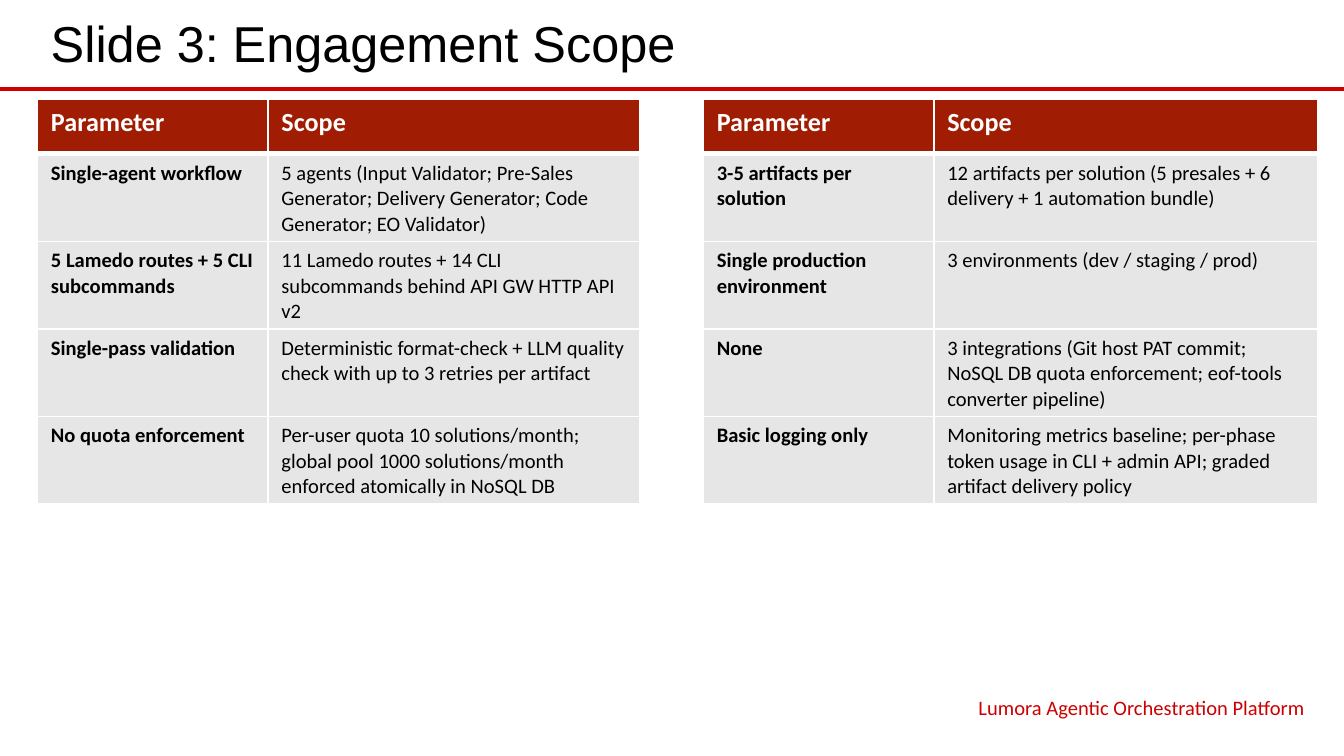
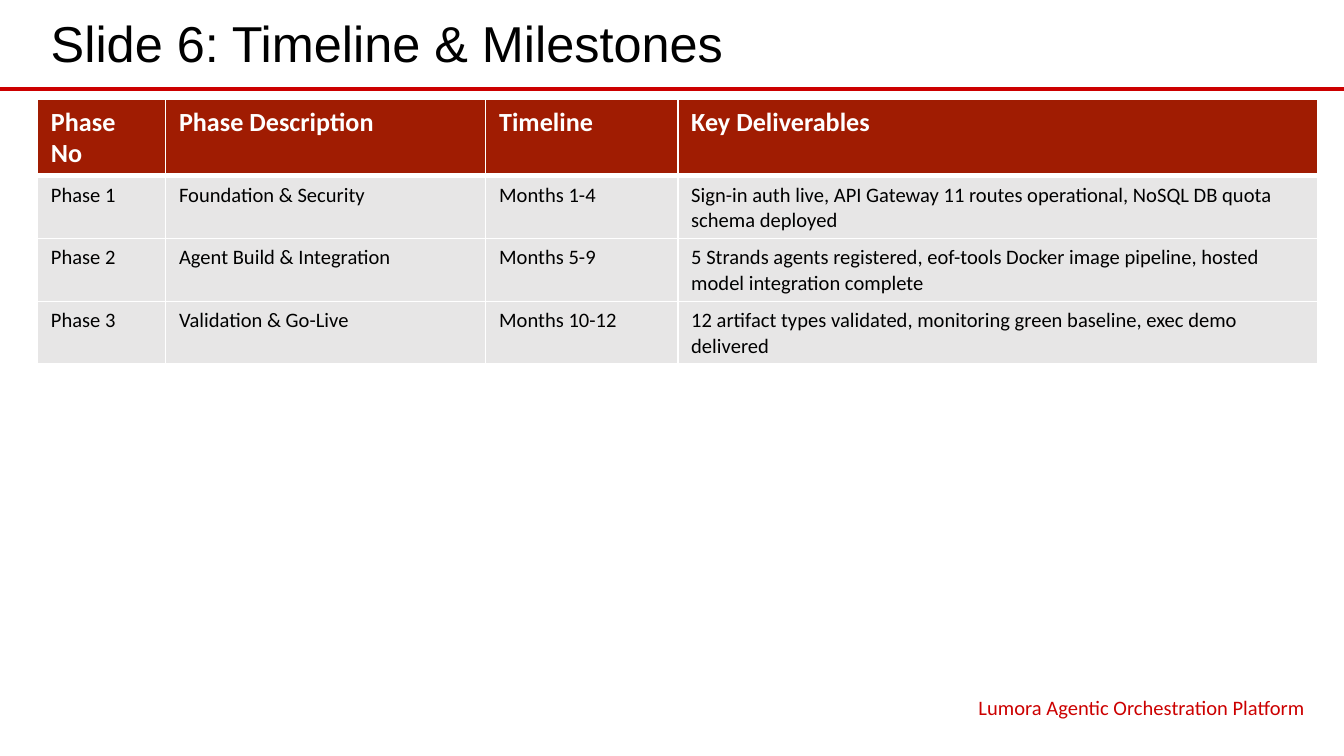
from lxml.etree import SubElement
from pptx import Presentation
from pptx.dml.color import RGBColor
from pptx.enum.shapes import MSO_CONNECTOR
from pptx.enum.text import MSO_ANCHOR, PP_ALIGN
from pptx.oxml.ns import qn
from pptx.util import Pt

FOOTER = "Lumora Agentic Orchestration Platform"
GAP = ""  # an empty cell in the column that separates two halves

SLIDES = [
    {
        "title": "Slide 3: Engagement Scope",
        "shares": (0.18, 0.29, 0.05, 0.18, 0.30),
        "bold_columns": (0, 3),
        "rows": [
            ("Parameter", "Scope", GAP, "Parameter", "Scope"),
            ("Single-agent workflow",
             "5 agents (Input Validator; Pre-Sales Generator; Delivery Generator; "
             "Code Generator; EO Validator)",
             GAP,
             "3-5 artifacts per solution",
             "12 artifacts per solution (5 presales + 6 delivery + 1 automation bundle)"),
            ("5 Lamedo routes + 5 CLI subcommands",
             "11 Lamedo routes + 14 CLI subcommands behind API GW HTTP API v2",
             GAP,
             "Single production environment",
             "3 environments (dev / staging / prod)"),
            ("Single-pass validation",
             "Deterministic format-check + LLM quality check with up to 3 retries "
             "per artifact",
             GAP,
             "None",
             "3 integrations (Git host PAT commit; NoSQL DB quota enforcement; "
             "eof-tools converter pipeline)"),
            ("No quota enforcement",
             "Per-user quota 10 solutions/month; global pool 1000 solutions/month "
             "enforced atomically in NoSQL DB",
             GAP,
             "Basic logging only",
             "Monitoring metrics baseline; per-phase token usage in CLI + admin API; "
             "graded artifact delivery policy"),
        ],
    },
    {
        "title": "Slide 6: Timeline & Milestones",
        "shares": (0.10, 0.25, 0.15, 0.50),
        "bold_columns": (),
        "rows": [
            ("Phase No", "Phase Description", "Timeline", "Key Deliverables"),
            ("Phase 1", "Foundation & Security", "Months 1-4",
             "Sign-in auth live, API Gateway 11 routes operational, NoSQL DB quota "
             "schema deployed"),
            ("Phase 2", "Agent Build & Integration", "Months 5-9",
             "5 Strands agents registered, eof-tools Docker image pipeline, hosted "
             "model integration complete"),
            ("Phase 3", "Validation & Go-Live", "Months 10-12",
             "12 artifact types validated, monitoring green baseline, exec demo "
             "delivered"),
        ],
    },
]

RED = RGBColor(0xCC, 0x00, 0x00)
BRICK = RGBColor(0xA0, 0x1C, 0x02)
GREY = RGBColor(0xE7, 0xE6, 0xE6)
BLACK = RGBColor(0x00, 0x00, 0x00)
WHITE = RGBColor(0xFF, 0xFF, 0xFF)

PAGE_WIDTH, PAGE_HEIGHT = 720, 405
LEFT, CONTENT_WIDTH = 20.1, 686
RULE_TOP = 47.5
TABLE_TOP, ROW_HEIGHT = 53.3, 29.2
FOOTER_WIDTH = 253.4
THIN, THICK = 1, 3


def add_span(para, text, font, size, color, bold=False):
    span = para.add_run()
    span.text = text
    span.font.name = font
    span.font.size = Pt(size)
    span.font.bold = bold
    span.font.color.rgb = color


def add_box(page, left, top, width, height, anchor):
    """Add a wrapping text box and return its first paragraph."""
    box = page.shapes.add_textbox(Pt(left), Pt(top), Pt(width), Pt(height))
    box.text_frame.word_wrap = True
    box.text_frame.vertical_anchor = anchor
    return box.text_frame.paragraphs[0]


def add_frame(page, title):
    """Add the rule, title and footer that every slide has."""
    rule = page.shapes.add_connector(
        MSO_CONNECTOR.STRAIGHT, 0, Pt(RULE_TOP), Pt(PAGE_WIDTH), Pt(RULE_TOP))
    rule.line.color.rgb = RED
    rule.line.width = Pt(2.25)
    SubElement(rule._element.spPr, qn("a:effectLst"))

    para = add_box(page, LEFT, 2, CONTENT_WIDTH, 41.6, MSO_ANCHOR.MIDDLE)
    add_span(para, title, "Arial", 27, BLACK)

    footer_left = LEFT + CONTENT_WIDTH - FOOTER_WIDTH
    para = add_box(page, footer_left, 368.6, FOOTER_WIDTH, 19, MSO_ANCHOR.TOP)
    para.alignment = PP_ALIGN.RIGHT
    add_span(para, FOOTER, "Calibri", 11, RED)


def set_borders(cell, top, bottom):
    """Draw white borders; call before the fill, which must follow them."""
    properties = cell._tc.get_or_add_tcPr()
    for side, width in (("L", THIN), ("R", THIN), ("T", top), ("B", bottom)):
        line = SubElement(properties, qn(f"a:ln{side}"), w=str(Pt(width)))
        fill = SubElement(line, qn("a:solidFill"))
        SubElement(fill, qn("a:srgbClr"), val=str(WHITE))


def add_grid(page, rows, shares, bold_columns):
    table = page.shapes.add_table(
        len(rows), len(shares), Pt(LEFT), Pt(TABLE_TOP),
        Pt(CONTENT_WIDTH), Pt(ROW_HEIGHT * len(rows))).table
    table.horz_banding = False
    for column, share in zip(table.columns, shares):
        column.width = Pt(CONTENT_WIDTH * share)

    for r, texts in enumerate(rows):
        header = r == 0
        for c, text in enumerate(texts):
            cell = table.cell(r, c)
            set_borders(cell, THICK if r == 1 else THIN, THICK if header else THIN)
            cell.fill.solid()
            if text == GAP:
                cell.fill.fore_color.rgb = WHITE
                continue
            cell.fill.fore_color.rgb = BRICK if header else GREY
            add_span(cell.text_frame.paragraphs[0], text, "Calibri",
                     14 if header else 11, WHITE if header else BLACK,
                     header or c in bold_columns)


def main():
    deck = Presentation()
    deck.slide_width, deck.slide_height = Pt(PAGE_WIDTH), Pt(PAGE_HEIGHT)
    for content in SLIDES:
        page = deck.slides.add_slide(deck.slide_layouts[6])
        add_frame(page, content["title"])
        add_grid(page, content["rows"], content["shares"], content["bold_columns"])
    deck.save("out.pptx")


if __name__ == "__main__":
    main()
